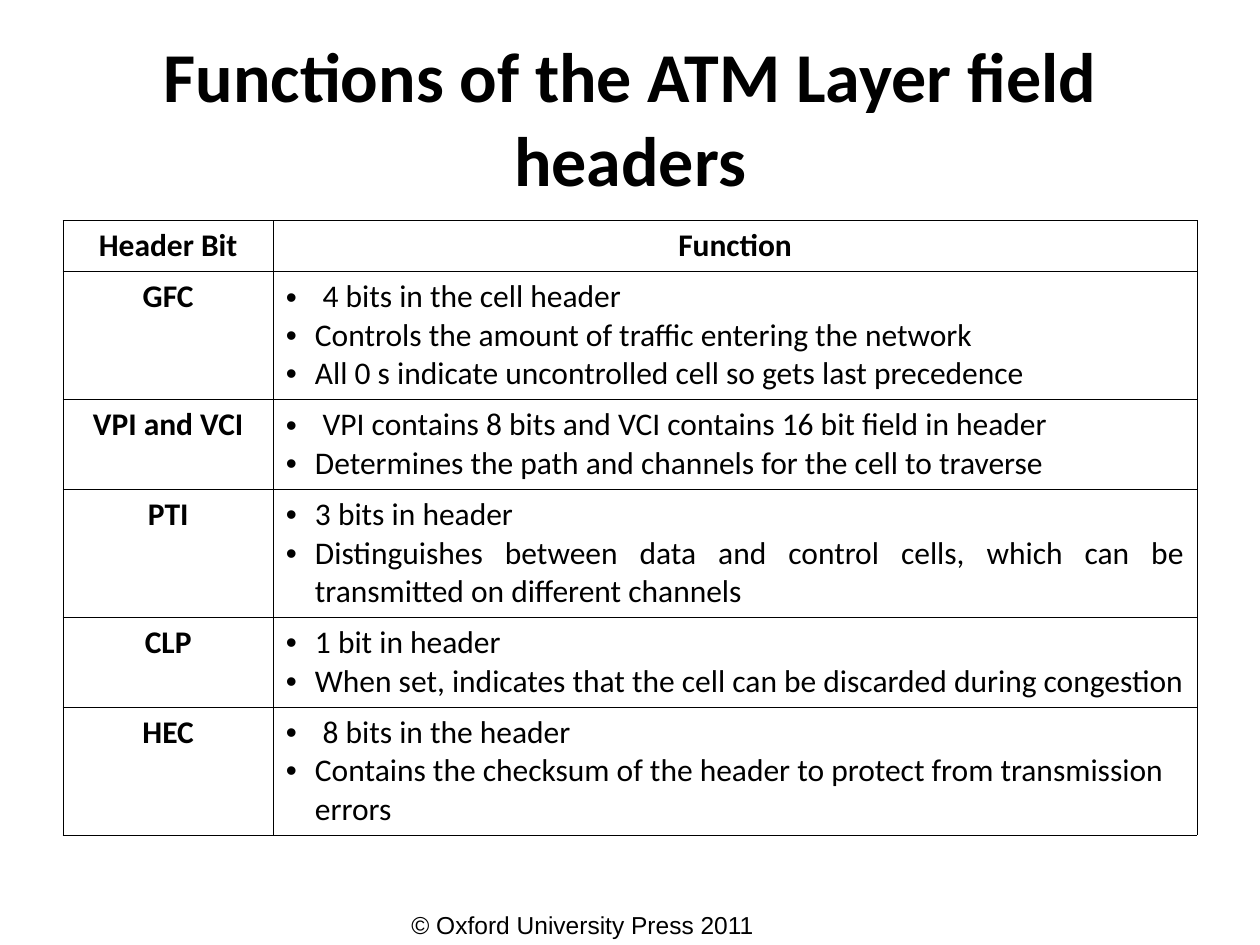
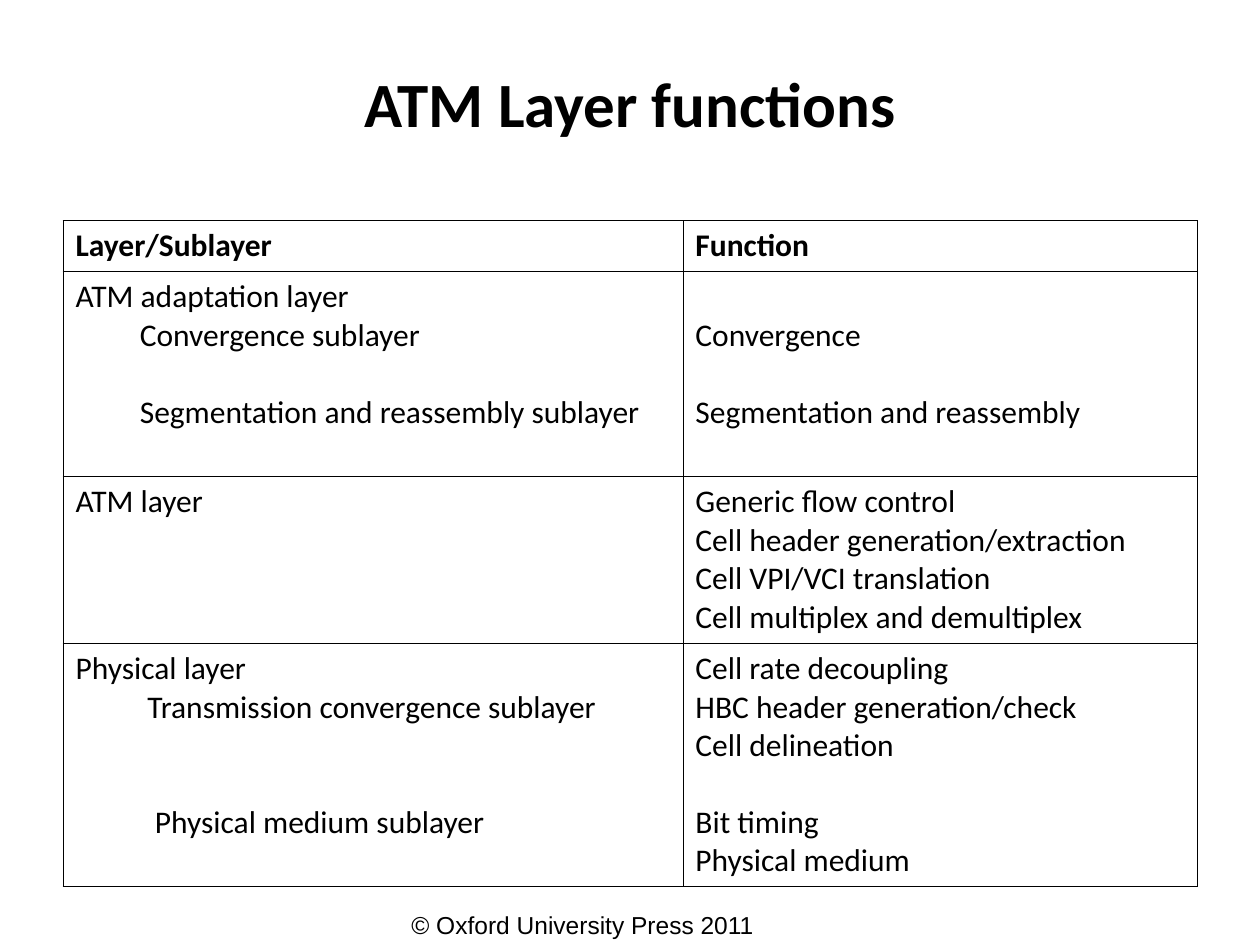
from dataclasses import dataclass

from lxml import etree
from pptx import Presentation
from pptx.dml.color import RGBColor
from pptx.enum import text as t
from pptx.oxml import ns
from pptx.util import Inches, Pt


@dataclass(frozen=True)
class Theme:
    ink: str = "000000"
    face: str = "Calibri"
    foot: str = "Arial"
    body: int = 18
    note: int = 14
    line: int = 22  # points from one table line to the next
    rule: float = 0.45
    pad: float = 0.05
    hang: float = 0.23


THEME = Theme()
LEFT, CENTER, JUST = t.PP_ALIGN.LEFT, t.PP_ALIGN.CENTER, t.PP_ALIGN.JUSTIFY
FOOTER = "© Oxford University Press 2011"

# A line is a text, or a text with its format:
# left = extra indent in inches, gap = empty lines above, align = alignment.
NUDGE = {"left": 0.06}
SLIDES = [
    {
        "title": "Functions of the ATM Layer field headers",
        "size": 40, "height": 1.25,
        "cols": [1.67, 7.33], "lines": [1, 3, 2, 3, 2, 3],
        "head": CENTER, "keys": True,
        "rows": [
            (["Header Bit"], ["Function"]),
            (["GFC"], [
                ("4 bits in the cell header", NUDGE),
                "Controls the amount of traffic entering the network",
                "All 0 s indicate uncontrolled cell so gets last precedence"]),
            (["VPI and VCI"], [
                ("VPI contains 8 bits and VCI contains 16 bit field in header", NUDGE),
                "Determines the path and channels for the cell to traverse"]),
            (["PTI"], [
                "3 bits in header",
                ("Distinguishes between data and control cells, which can be "
                 "transmitted on different channels", {"align": JUST})]),
            (["CLP"], [
                "1 bit in header",
                "When set, indicates that the cell can be discarded during congestion"]),
            (["HEC"], [
                ("8 bits in the header", NUDGE),
                "Contains the checksum of the header to protect from "
                "transmission errors"]),
        ],
    },
    {
        "title": "ATM Layer functions",
        "size": 36, "height": 1.03,
        "cols": [4.92, 4.08], "lines": [1, 5, 4, 6],
        "head": LEFT, "keys": False,
        "rows": [
            (["Layer/Sublayer"], ["Function"]),
            (["ATM adaptation layer",
              ("Convergence sublayer", {"left": 0.51}),
              ("Segmentation and reassembly sublayer", {"left": 0.51, "gap": 1})],
             [("Convergence", {"gap": 1}),
              ("Segmentation and reassembly", {"gap": 1})]),
            (["ATM layer"],
             ["Generic flow control",
              "Cell header generation/extraction",
              "Cell VPI/VCI translation",
              "Cell multiplex and demultiplex"]),
            (["Physical layer",
              ("Transmission convergence sublayer", {"left": 0.57}),
              ("Physical medium sublayer", {"left": 0.63, "gap": 2})],
             ["Cell rate decoupling",
              "HBC header generation/check",
              "Cell delineation",
              ("Bit timing", {"gap": 1}),
              "Physical medium"]),
        ],
    },
]


def put(para, words, size, face=THEME.face, bold=False, align=LEFT):
    para.alignment = align
    run = para.add_run()
    run.text = words
    look = {"size": Pt(size), "name": face, "bold": bold}
    for name, value in look.items():
        setattr(run.font, name, value)
    run.font.color.rgb = RGBColor.from_string(THEME.ink)


def add(node, tag, **attrs):
    return etree.SubElement(node, ns.qn(tag), attrs)


def tint(node):
    add(node, "a:srgbClr", val=THEME.ink)


def frame(cell):
    """Draw the four borders of a cell and leave it without a fill."""
    props = cell._tc.get_or_add_tcPr()
    for side in "LRTB":
        edge = add(props, "a:ln" + side, w=str(Pt(THEME.rule)))
        tint(add(edge, "a:solidFill"))
    cell.fill.background()


def indent(para, left, dot):
    hang = THEME.hang if dot else 0
    props = para._p.get_or_add_pPr()
    props.set("marL", str(Inches(left + hang)))
    props.set("indent", str(-Inches(left + hang) if dot else 0))
    if dot:
        tint(add(props, "a:buClr"))
        add(props, "a:buFont", typeface=THEME.foot)
        add(props, "a:buChar", char="•")


def fill(cell, lines, bold, align, dot):
    """Write the lines; a gap above the first one becomes top margin."""
    edges = {"left": 0.1, "right": 0.1, "top": THEME.pad, "bottom": THEME.pad}
    for side, value in edges.items():
        setattr(cell, "margin_" + side, Inches(value))
    frame(cell)
    body = cell.text_frame
    for i, line in enumerate(lines):
        words, form = (line, {}) if isinstance(line, str) else line
        para = body.add_paragraph() if i else body.paragraphs[0]
        indent(para, form.get("left", 0), dot)
        space = Pt(THEME.line * form.get("gap", 0))
        if i:
            para.space_before = space
        else:
            cell.margin_top += space
        put(para, words, THEME.body, bold=bold, align=form.get("align", align))


def grid(slide, data):
    rows, cols = data["rows"], data["cols"]
    highs = [Pt(THEME.line * n) + Inches(2 * THEME.pad) for n in data["lines"]]
    table = slide.shapes.add_table(
        len(rows), len(cols), Inches(0.5), Inches(1.75),
        Inches(sum(cols)), sum(highs)).table
    table.first_row = table.horz_banding = False
    for col, wide in zip(table.columns, cols):
        col.width = Inches(wide)
    for r, (row, high) in enumerate(zip(rows, highs)):
        table.rows[r].height = high
        for c, lines in enumerate(row):
            key = r == 0 or (data["keys"] and c == 0)
            fill(table.cell(r, c), lines, key, data["head"] if key else LEFT,
                 data["keys"] and not key)


def place(shape, left, top, wide, high):
    for name, value in zip(("left", "top", "width", "height"),
                           (left, top, wide, high)):
        setattr(shape, name, Inches(value))


def title(slide, data):
    shape = slide.shapes.title
    place(shape, 0.5, 0.3, 9, data["height"])
    body = shape.text_frame
    body.auto_size = t.MSO_AUTO_SIZE.NONE
    body.vertical_anchor = t.MSO_ANCHOR.MIDDLE
    put(body.paragraphs[0], data["title"], data["size"], bold=True, align=CENTER)


def footer(slide):
    box = slide.shapes.add_textbox(*map(Inches, (3.16, 7.17, 2.93, 0.34)))
    body = box.text_frame
    body.word_wrap = False
    body.vertical_anchor = t.MSO_ANCHOR.MIDDLE
    put(body.paragraphs[0], FOOTER, THEME.note, THEME.foot, align=CENTER)


def main():
    deck = Presentation()
    deck.slide_width, deck.slide_height = Inches(10), Inches(7.5)
    for data in SLIDES:
        slide = deck.slides.add_slide(deck.slide_layouts[5])
        footer(slide)
        title(slide, data)
        grid(slide, data)
    deck.save("out.pptx")


if __name__ == "__main__":
    main()
